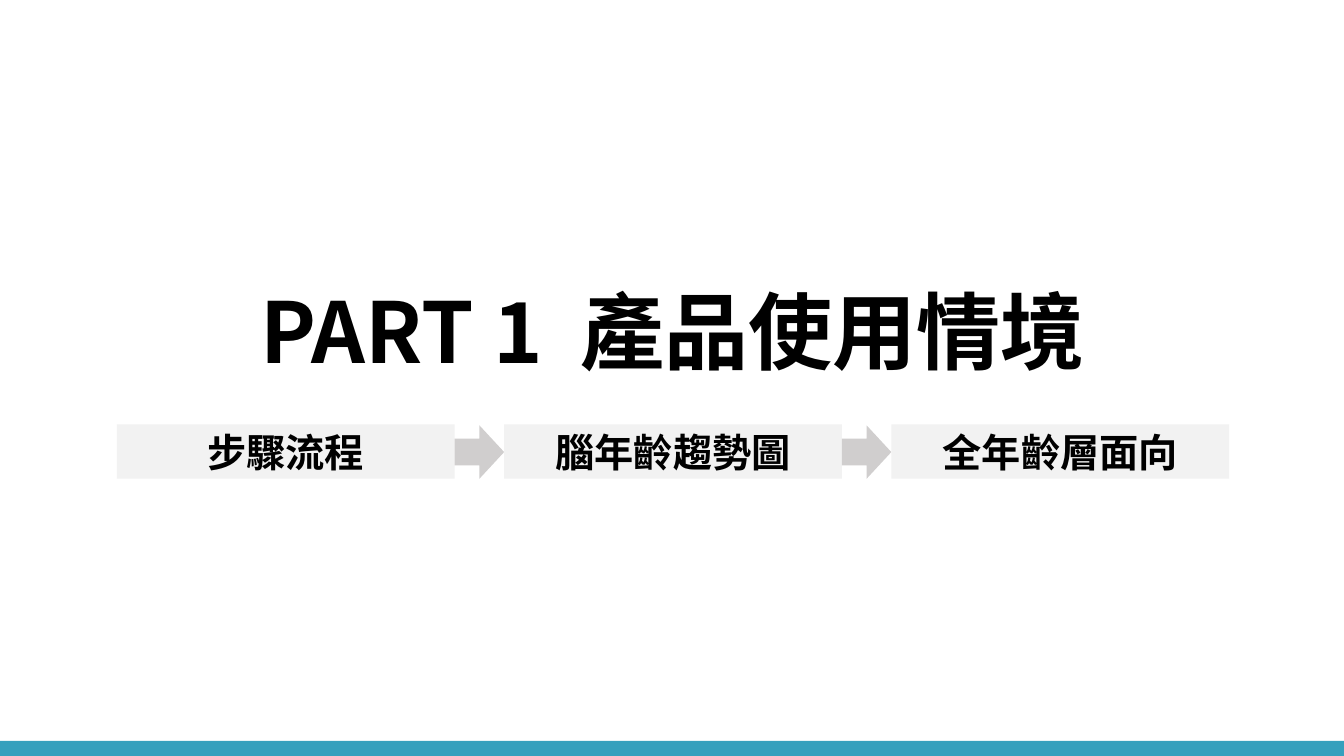
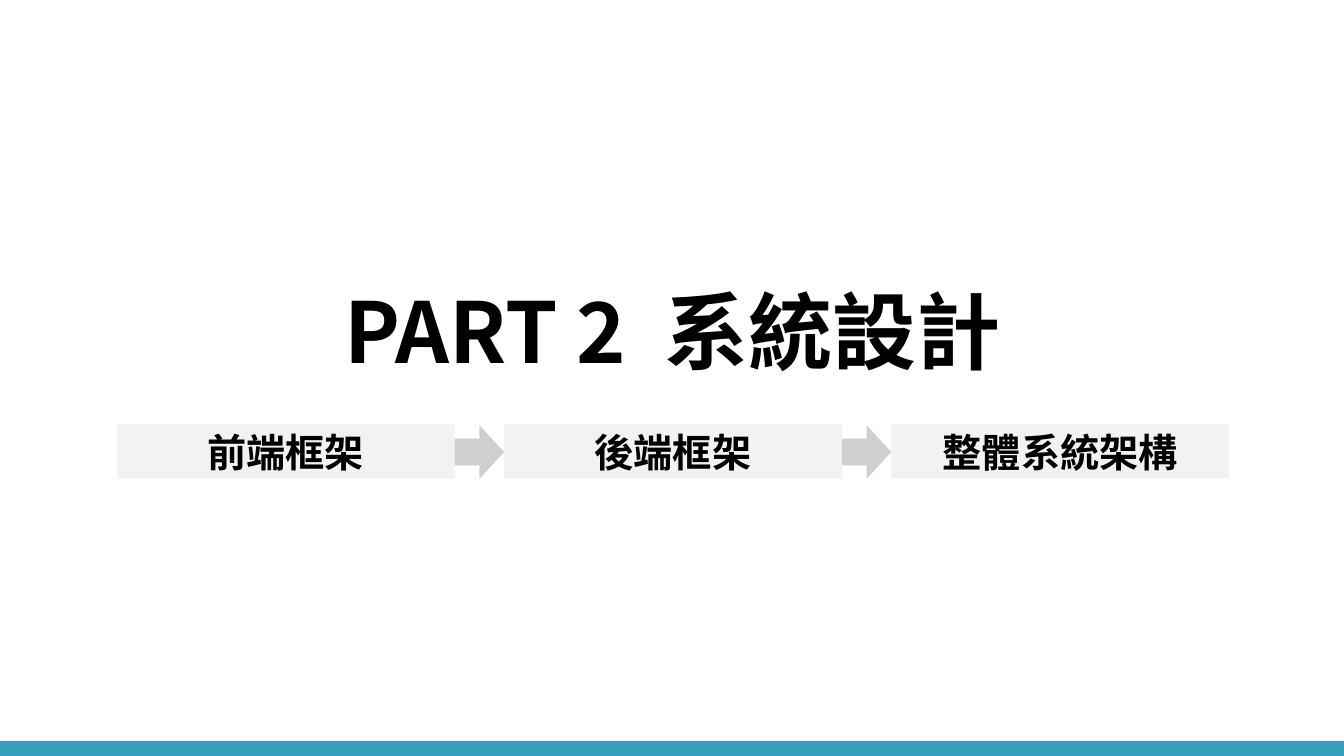
from pptx import Presentation
from pptx.dml.color import RGBColor
from pptx.enum.shapes import MSO_SHAPE
from pptx.enum.text import MSO_ANCHOR, PP_ALIGN
from pptx.util import Emu, Pt
from lxml.etree import SubElement
from pptx.oxml.ns import qn

SECTIONS = [
    ("PART 1", "產品使用情境", ["步驟流程", "腦年齡趨勢圖", "全年齡層面向"]),
    ("PART 2", "系統設計", ["前端框架", "後端框架", "整體系統架構"]),
]

TEAL = RGBColor(0x35, 0xA0, 0xBD)
PALE_GREY = RGBColor(0xF2, 0xF2, 0xF2)
ARROW_GREY = RGBColor(0xD0, 0xCE, 0xCE)
BLACK = RGBColor(0, 0, 0)
SANS = "Noto Sans CJK SC"
SERIF = "Times New Roman"

PIXEL = 9144
SLIDE_WIDTH, SLIDE_HEIGHT = 1333, 750
BAND_HEIGHT = 15
TITLE_FRAME = (167, 123, 1000, 261)
STEP_LEFT, STEP_TOP, STEP_WIDTH, STEP_HEIGHT = 116, 421, 335, 54
ARROW_WIDTH, ARROW_HEIGHT = 49, 53
TITLE_GAP = 1340


def px(*lengths):
    return [Emu(length * PIXEL) for length in lengths]


def add_block(page, preset, frame, color):
    block = page.shapes.add_shape(preset, *px(*frame))
    block.shadow.inherit = False
    block.fill.solid()
    block.fill.fore_color.rgb = color
    block.line.fill.background()
    return block


def add_span(para, text, size, font):
    span = para.add_run()
    span.text = text
    span.font.size = Pt(size)
    span.font.bold = True
    span.font.name = font
    span.font.color.rgb = BLACK
    properties = span.font._element
    SubElement(properties, qn("a:ea")).set("typeface", SANS)
    return properties


def add_title(page, part, topic):
    box = page.shapes.add_textbox(*px(*TITLE_FRAME))
    box.text_frame.word_wrap = True
    box.text_frame.vertical_anchor = MSO_ANCHOR.BOTTOM
    para = box.text_frame.paragraphs[0]
    para.alignment = PP_ALIGN.CENTER
    para.line_spacing = 0.9
    add_span(para, part, 60, SANS)
    add_span(para, " ", 60, SANS).set("spc", str(TITLE_GAP))
    add_span(para, topic, 60, SANS)


def add_steps(page, steps):
    for index, label in enumerate(steps):
        left = STEP_LEFT + index * (STEP_WIDTH + ARROW_WIDTH)
        frame = (left, STEP_TOP, STEP_WIDTH, STEP_HEIGHT)
        box = add_block(page, MSO_SHAPE.RECTANGLE, frame, PALE_GREY)
        box.text_frame.vertical_anchor = MSO_ANCHOR.MIDDLE
        para = box.text_frame.paragraphs[0]
        para.alignment = PP_ALIGN.CENTER
        add_span(para, label, 28, SERIF)
        if index < len(steps) - 1:
            frame = (left + STEP_WIDTH, STEP_TOP + 1, ARROW_WIDTH, ARROW_HEIGHT)
            add_block(page, MSO_SHAPE.RIGHT_ARROW, frame, ARROW_GREY)


def add_section(deck, part, topic, steps):
    page = deck.slides.add_slide(deck.slide_layouts[6])
    band = (0, SLIDE_HEIGHT - BAND_HEIGHT, SLIDE_WIDTH, BAND_HEIGHT)
    add_block(page, MSO_SHAPE.RECTANGLE, band, TEAL)
    add_title(page, part, topic)
    add_steps(page, steps)


def main():
    deck = Presentation()
    deck.slide_width, deck.slide_height = px(SLIDE_WIDTH, SLIDE_HEIGHT)
    for section in SECTIONS:
        add_section(deck, *section)
    deck.save("out.pptx")


if __name__ == "__main__":
    main()
